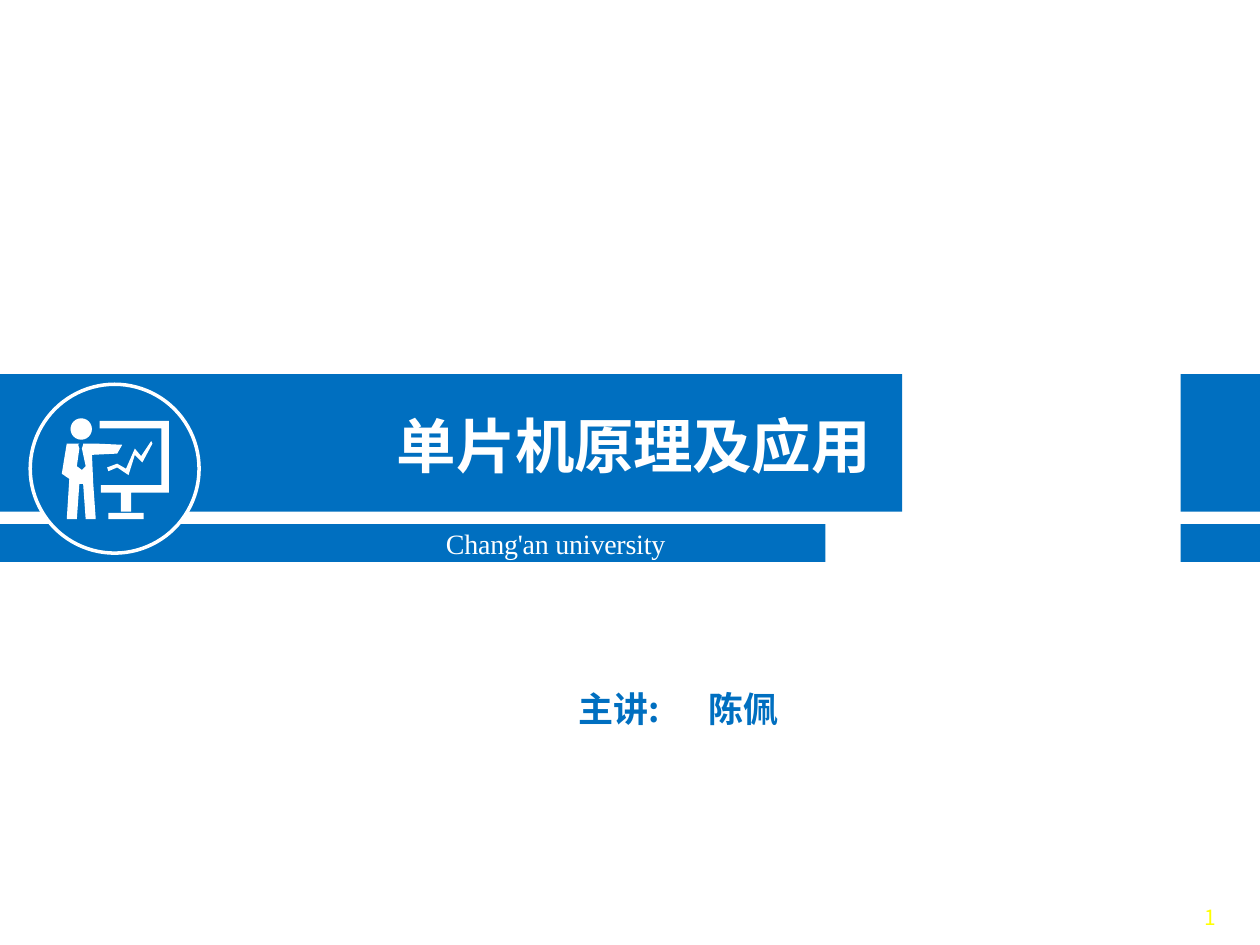
import pptx
import pptx.util
import pptx.dml.color
import pptx.enum.shapes
import pptx.enum.text
import pptx.oxml
import pptx.oxml.ns

Inches = pptx.util.Inches
Pt = pptx.util.Pt
SHAPES = pptx.enum.shapes.MSO_SHAPE
BLUE, WHITE, YELLOW = "006FC0", "FFFFFF", "FFFF00"
HAN, LATIN = "Noto Sans CJK SC", "Times New Roman"

PRESENTER = [(4, 20), (14, 20), (13, 21), (14, 24), (12, 38), (16, 41), (19, 38),
             (16, 24), (17, 21), (17, 20), (26, 20), (48, 21), (44, 28), (24, 29),
             (25, 52), (27, 80), (19, 80), (17, 52), (14, 52), (12, 80), (4, 80),
             (6, 48), (0, 44)]
BOARD = [(30, 2), (85, 2), (85, 59), (31, 59), (31, 53), (79, 53), (79, 8), (30, 8)]
STAND = [(47, 59), (55, 59), (55, 74), (47, 74)]
FOOT = [(37, 75), (65, 75), (65, 80), (37, 80)]
TREND = [(44, 36), (36, 39), (37, 42), (44, 39), (53, 45), (58, 29), (64, 35),
         (72, 20), (71, 18), (63, 30), (58, 24), (51, 40)]


def paint(shape, fill, line=None):
    """Give a shape a flat fill and an optional outline."""
    shape.shadow.inherit = False
    shape.fill.solid()
    shape.fill.fore_color.rgb = pptx.dml.color.RGBColor.from_string(fill)
    if line:
        shape.line.color.rgb = pptx.dml.color.RGBColor.from_string(line)
        shape.line.width = Pt(2)
    else:
        shape.line.fill.background()


def add_shape(slide, kind, left, top, width, height, fill, line=None):
    """Place a preset shape, measured in inches."""
    shape = slide.shapes.add_shape(
        kind, Inches(left), Inches(top), Inches(width), Inches(height))
    paint(shape, fill, line)


def add_label(slide, box, text, size, font, color, bold=False, inset=(0.01, 0.02),
              spacing=-10, leading=None, tab=None):
    """Place one line of text in a box, with an optional tab stop."""
    label = slide.shapes.add_textbox(*map(Inches, box))
    frame = label.text_frame
    frame.word_wrap = True
    frame.vertical_anchor = pptx.enum.text.MSO_ANCHOR.TOP
    frame.margin_left, frame.margin_top = map(Inches, inset)
    frame.margin_right = frame.margin_bottom = 0
    frame.text = text
    paragraph = frame.paragraphs[0]
    if leading:
        paragraph.line_spacing = Pt(leading)
    if tab:
        paragraph._p.get_or_add_pPr().append(pptx.oxml.parse_xml(
            f'<a:tabLst {pptx.oxml.ns.nsdecls("a")}>'
            f'<a:tab pos="{Inches(tab)}" algn="l"/></a:tabLst>'))
    for run in paragraph.runs:
        run.font.size, run.font.name, run.font.bold = Pt(size), font, bold
        run.font.color.rgb = pptx.dml.color.RGBColor.from_string(color)
        properties = run._r.get_or_add_rPr()
        properties.set("spc", str(spacing))
        east_asian = pptx.oxml.parse_xml(
            f'<a:ea {pptx.oxml.ns.nsdecls("a")} typeface="{font}"/>')
        properties.find(pptx.oxml.ns.qn("a:latin")).addnext(east_asian)


def add_icon(slide, left, top):
    """Draw the presenter beside a chart board."""
    add_shape(slide, SHAPES.OVAL, left + 0.07, top, 0.17, 0.17, WHITE)
    outlines = [PRESENTER, BOARD, STAND, FOOT, TREND]
    builder = slide.shapes.build_freeform(*outlines[0][0], scale=Inches(0.01))
    builder.add_line_segments(outlines[0][1:], close=True)
    for outline in outlines[1:]:
        builder.move_to(*outline[0])
        builder.add_line_segments(outline[1:], close=True)
    paint(builder.convert_to_shape(Inches(left), Inches(top)), WHITE)


def add_banner(slide, top):
    """Draw the title and subtitle bands with their badge and texts."""
    right_edge, tail_width = 10, 0.63
    for offset, height, width in [(0, 1.09, 7.16), (1.19, 0.3, 6.55)]:
        for left, band_width in [(0, width), (right_edge - tail_width, tail_width)]:
            add_shape(slide, SHAPES.RECTANGLE, left, top + offset, band_width, height, BLUE)
    add_label(slide, (3.14, top + 0.26, 3.97, 0.58), "单片机原理及应用",
              34, HAN, WHITE, bold=True)
    add_label(slide, (3.53, top + 1.19, 3.63, 0.28), "Chang'an university",
              16, LATIN, WHITE)
    add_shape(slide, SHAPES.OVAL, 0.24, top + 0.08, 1.34, 1.34, BLUE, WHITE)
    add_icon(slide, 0.49, top + 0.35)


def build_title_slide(presentation):
    """Compose the course title slide."""
    slide = presentation.slides.add_slide(presentation.slide_layouts[6])
    add_banner(slide, 2.97)
    add_label(slide, (4.58, 5.42, 3.13, 0.36), "主讲:\t陈佩", 20, HAN, BLUE,
              bold=True, spacing=0, leading=25.3, tab=1.03)
    add_label(slide, (9.53, 7.15, 0.47, 0.32), "1", 12, HAN, YELLOW, inset=(0.03, 0.03))


def main():
    """Build and save the presentation."""
    presentation = pptx.Presentation()
    presentation.slide_width, presentation.slide_height = Inches(10), Inches(7.5)
    build_title_slide(presentation)
    presentation.save("out.pptx")


if __name__ == "__main__":
    main()
